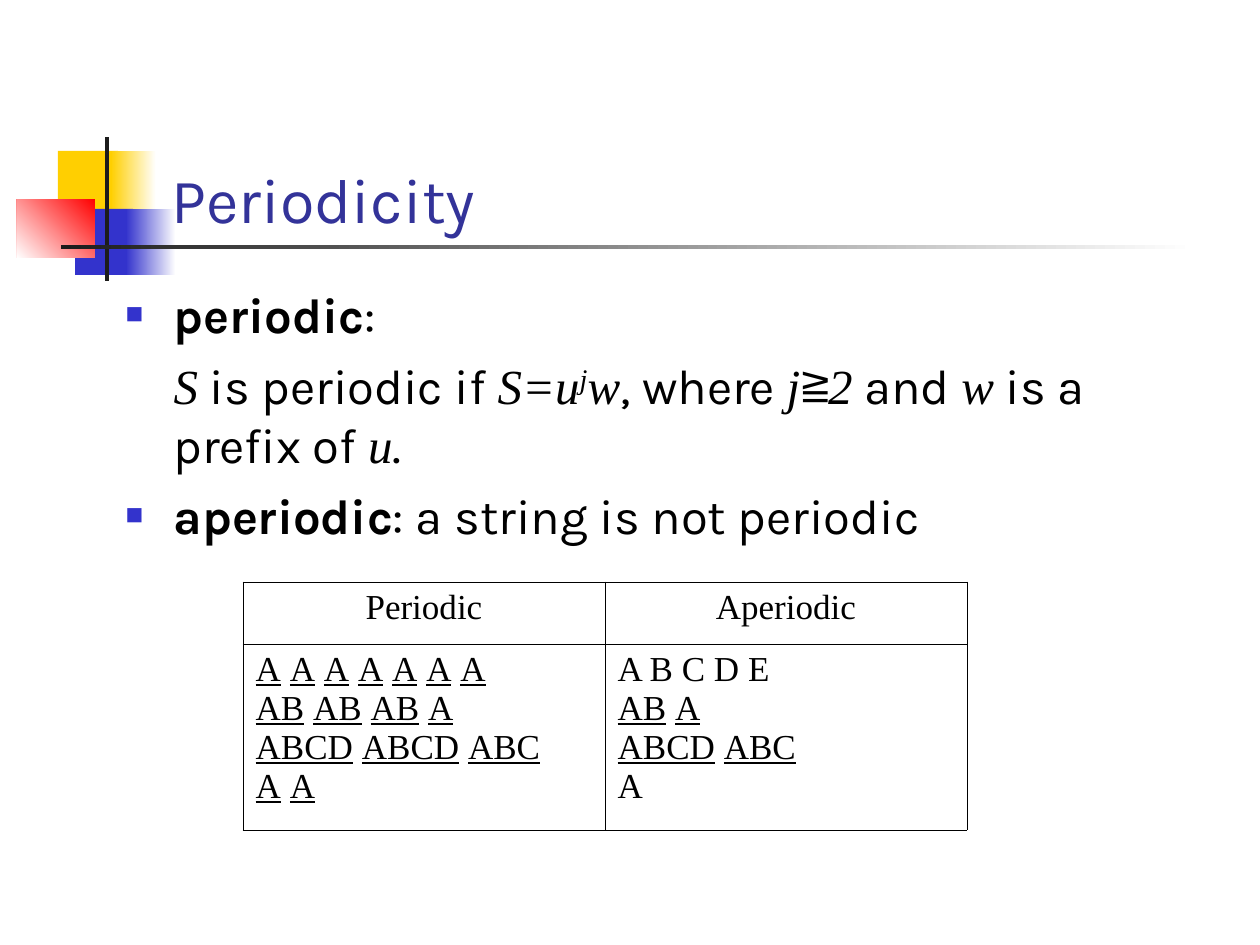
from lxml import etree
from pptx import Presentation
from pptx.dml.color import RGBColor
from pptx.enum.shapes import MSO_SHAPE
from pptx.enum.text import MSO_ANCHOR, MSO_AUTO_SIZE, PP_ALIGN
from pptx.oxml.ns import qn
from pptx.util import Pt

PX = 914400 / 126
RECT = MSO_SHAPE.RECTANGLE
BOTTOM = MSO_ANCHOR.BOTTOM
NO_FIT = MSO_AUTO_SIZE.NONE
LEFT, CENTER = PP_ALIGN.LEFT, PP_ALIGN.CENTER
WHITE = RGBColor(0xFF, 0xFF, 0xFF)
BLACK = RGBColor(0, 0, 0)
YELLOW = RGBColor(0xFF, 0xCF, 0x01)
BLUE = RGBColor(0x33, 0x33, 0xCC)
RED = RGBColor(0xFF, 0, 0)
DARK = RGBColor(0x1C, 0x1C, 0x1C)
INDIGO = RGBColor(0x33, 0x33, 0x99)
SANS, SERIF = "Karla", "Times New Roman"


def px(*values):
    return [round(v * PX) for v in values]


def add_run(p, text, font, size, color=BLACK):
    r = p.add_run()
    r.text = text
    r.font.name = font
    r.font.size = Pt(size)
    r.font.color.rgb = color
    return r


prs = Presentation()
prs.slide_width, prs.slide_height = px(1260, 945)
slide = prs.slides.add_slide(prs.slide_layouts[1])
title, body = slide.placeholders

decor = [
    ((58, 151, 60, 66), [YELLOW], 0),
    ((111, 151, 45, 66), [WHITE, YELLOW], 180),
    ((75, 209, 58, 66), [BLUE], 0),
    ((126, 209, 50, 66), [WHITE, BLUE], 180),
    ((17, 199, 78, 59), [RED, WHITE], 225),
    ((105, 137, 4, 144), [DARK], 0),
    ((61, 245, 1134, 4), [WHITE, DARK], 180),
]
for box, colors, angle in decor:
    sp = slide.shapes.add_shape(RECT, *px(*box))
    sp.shadow.inherit = False
    sp.line.fill.background()
    if len(colors) == 1:
        sp.fill.solid()
        sp.fill.fore_color.rgb = colors[0]
    else:
        sp.fill.gradient()
        sp.fill.gradient_angle = angle
        for stop, color in zip(sp.fill.gradient_stops, colors):
            stop.color.rgb = color

for ph, box in ((title, (159, 84, 1074, 158)), (body, (113, 278, 1081, 567))):
    ph.element.getparent().append(ph.element)
    ph.left, ph.top, ph.width, ph.height = px(*box)
    ph.text_frame.auto_size = NO_FIT
    ph.text_frame.word_wrap = True

tf = title.text_frame
tf.vertical_anchor = BOTTOM
p = tf.paragraphs[0]
p.alignment = LEFT
add_run(p, "Periodicity", SANS, 36, INDIGO)

items = [
    (True, [("periodic", "bold"), (":", "")]),
    (False, [("S", "italic"), (" is periodic if ", ""), ("S=u", "italic"),
             ("j", "super"), ("w", "italic"), (", where ", ""),
             ("j≧2", "italic"), (" and ", ""), ("w", "italic"),
             (" is a prefix of ", ""), ("u", "italic"), (".", "")]),
    (True, [("aperiodic", "bold"), (": a string is not periodic", "")]),
]
tf = body.text_frame
indent = px(48)[0]
for i, (bullet, parts) in enumerate(items):
    p = tf.add_paragraph() if i else tf.paragraphs[0]
    p.space_before = Pt(7 if i else 0)
    pPr = p._p.get_or_add_pPr()
    pPr.set("marL", str(indent))
    pPr.set("indent", str(-indent if bullet else 0))
    if bullet:
        clr = etree.SubElement(pPr, qn("a:buClr"))
        etree.SubElement(clr, qn("a:srgbClr"), val=str(BLUE))
        etree.SubElement(pPr, qn("a:buSzPct"), val="60000")
        etree.SubElement(pPr, qn("a:buChar"), char="■")
    else:
        etree.SubElement(pPr, qn("a:buNone"))
    for text, style in parts:
        math = style in ("italic", "super")
        r = add_run(p, text, SERIF if math else SANS, 28)
        r.font.bold = style == "bold"
        r.font.italic = math
        if style == "super":
            r._r.get_or_add_rPr().set("baseline", "30000")

cells = [
    [[("Periodic", False)], [("Aperiodic", False)]],
    [[("A A A A A A A", True), ("AB AB AB A", True),
      ("ABCD ABCD ABC", True), ("A A", True)],
     [("A B C D E", False), ("AB A", True), ("ABCD ABC", True), ("A", False)]],
]
table = slide.shapes.add_table(2, 2, *px(243, 582, 724, 248)).table
table.first_row = False
table.horz_banding = False
for row, height in zip(table.rows, px(62, 186)):
    row.height = height
for i, row in enumerate(cells):
    for j, lines in enumerate(row):
        cell = table.cell(i, j)
        tcPr = cell._tc.get_or_add_tcPr()
        for side in ("L", "R", "T", "B"):
            ln = etree.SubElement(tcPr, qn(f"a:ln{side}"), w="5715")
            fill = etree.SubElement(ln, qn("a:solidFill"))
            etree.SubElement(fill, qn("a:srgbClr"), val=str(BLACK))
        cell.fill.background()
        tf = cell.text_frame
        for k, (line, underlined) in enumerate(lines):
            p = tf.add_paragraph() if k else tf.paragraphs[0]
            p.alignment = LEFT if i else CENTER
            if not underlined:
                add_run(p, line, SERIF, 20)
                continue
            for n, word in enumerate(line.split()):
                if n:
                    add_run(p, " ", SERIF, 20)
                add_run(p, word, SERIF, 20).font.underline = True

prs.save("out.pptx")
